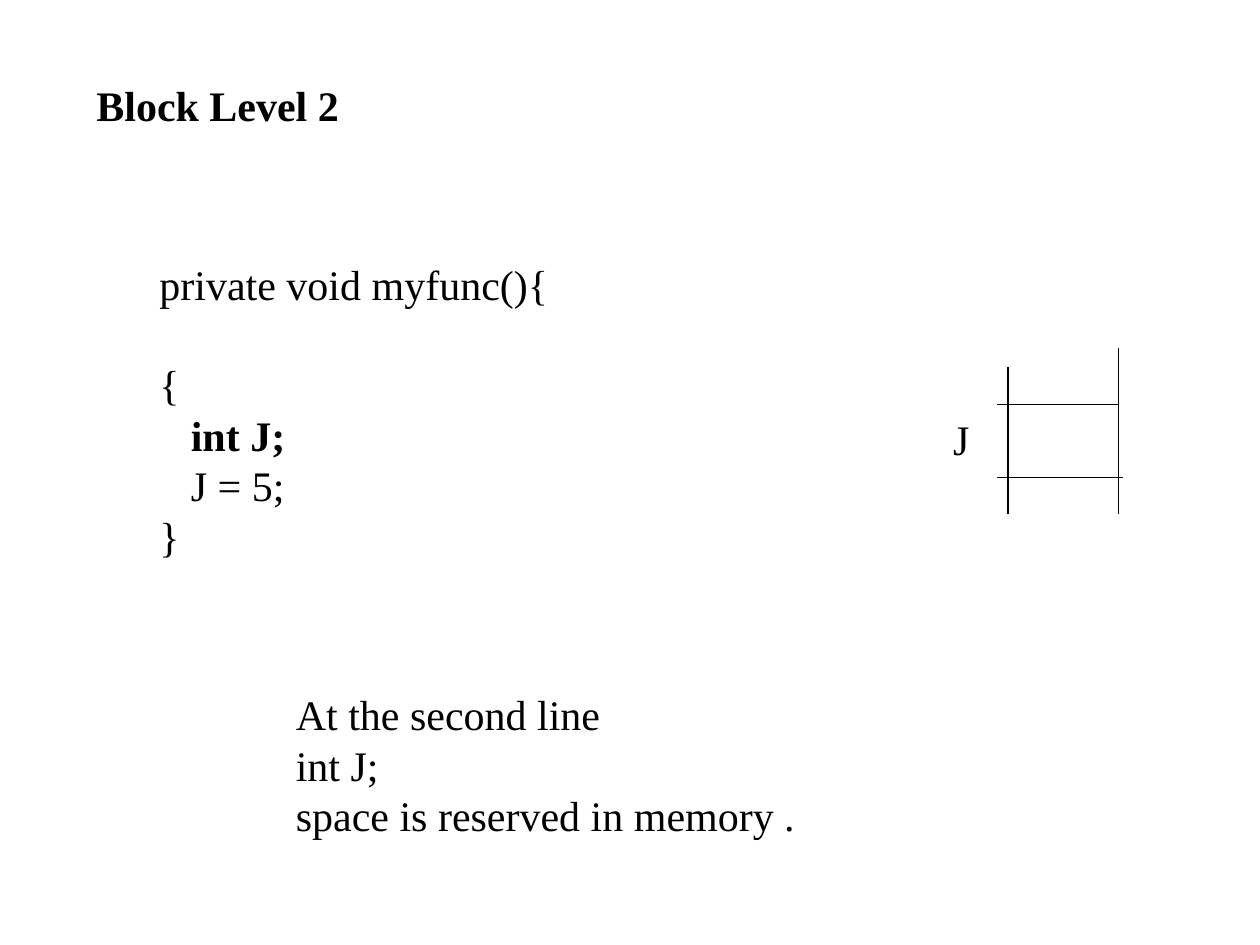
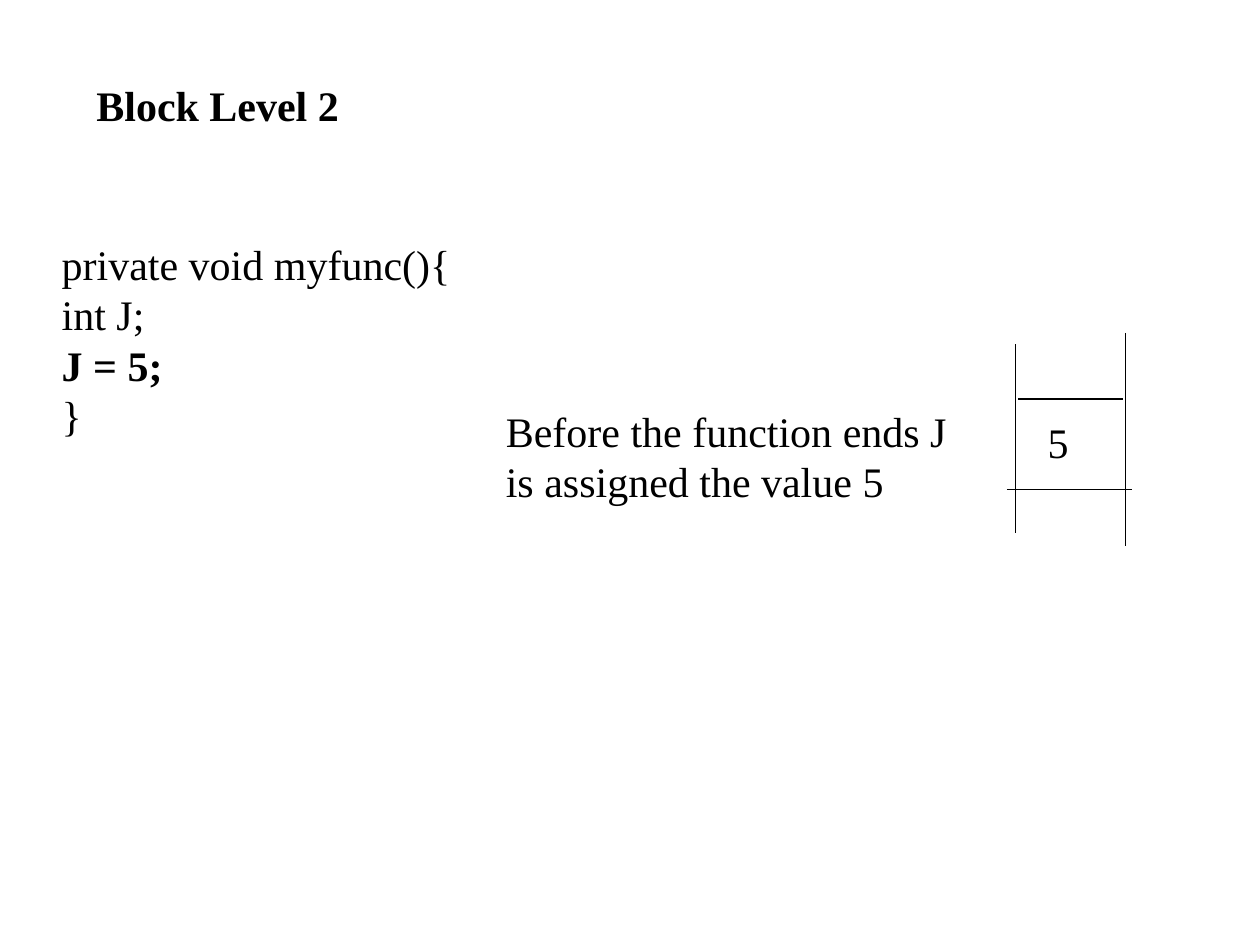
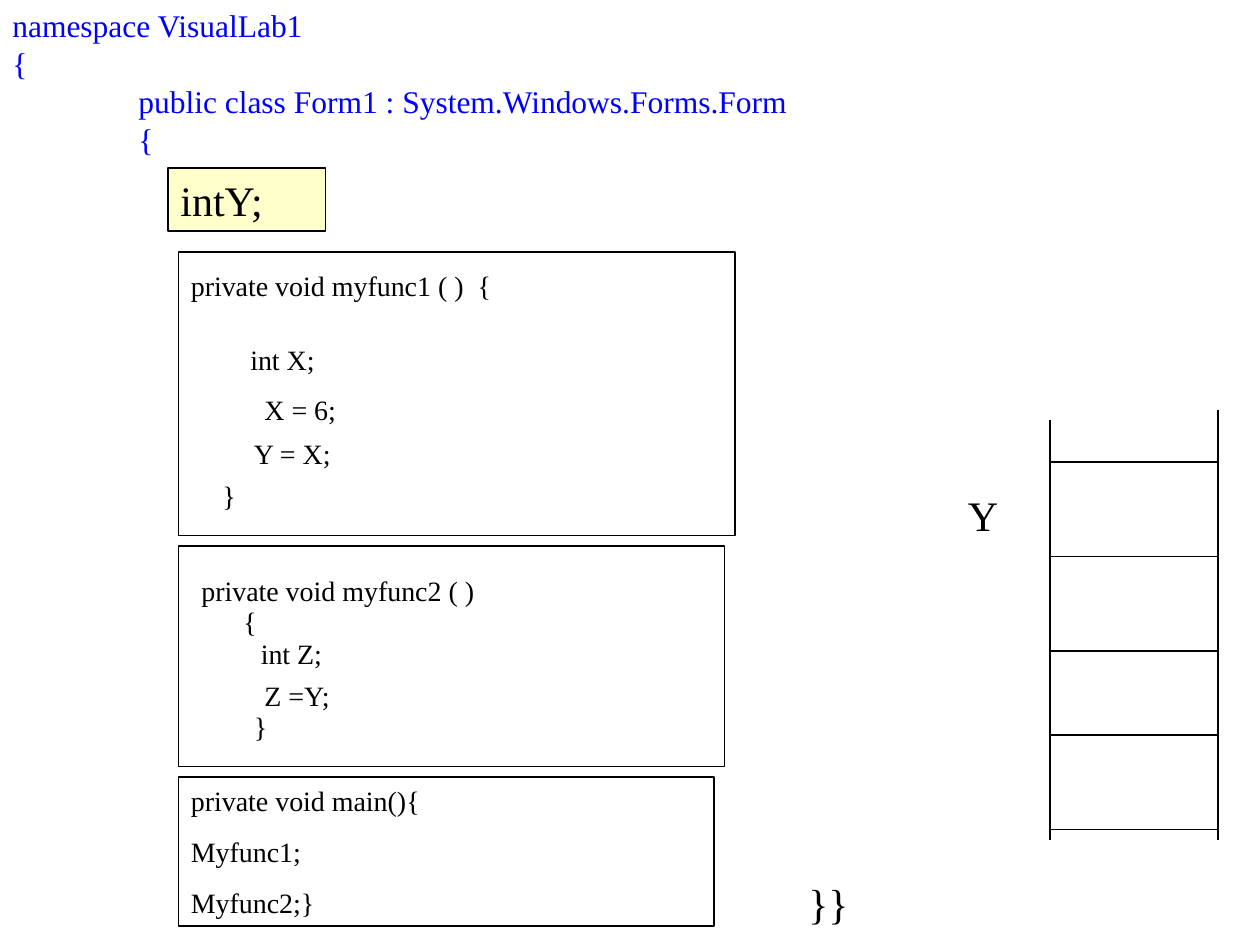
from dataclasses import dataclass

from lxml import etree
from pptx import Presentation
from pptx import util as u
from pptx.dml.color import RGBColor
from pptx.enum import shapes, text
from pptx.oxml import ns

PX = 7620  # EMU; 120 px to the inch
FONT = "Times New Roman"
BLACK = RGBColor(0x00, 0x00, 0x00)
BLUE = RGBColor(0x00, 0x00, 0xFF)
CREAM = RGBColor(0xFF, 0xFF, 0xCC)
LINE_WIDTH = u.Pt(0.75)
TAB = 120


@dataclass(frozen=True)
class Para:
    text: str
    bold: bool = False
    before: float = 0
    indent: int = 0


@dataclass(frozen=True)
class Text:
    x: int
    y: int
    w: int
    h: int
    paras: tuple[Para, ...]
    size: int = 24
    color: RGBColor = BLACK


@dataclass(frozen=True)
class Box:
    x: int
    y: int
    w: int
    h: int
    fill: RGBColor | None = None
    paras: tuple[Para, ...] = ()
    size: int = 16


@dataclass(frozen=True)
class Line:
    x1: int
    y1: int
    x2: int
    y2: int


def paras(*lines: str, before: float = 0) -> tuple[Para, ...]:
    """Plain paragraphs, with space before all but the first."""
    return tuple(Para(t, before=before if i else 0) for i, t in enumerate(lines))


def write(sp, lines: tuple[Para, ...], size: int, color: RGBColor) -> None:
    tf = sp.text_frame
    tf.word_wrap = True
    tf.vertical_anchor = text.MSO_ANCHOR.TOP
    for i, line in enumerate(lines):
        p = tf.add_paragraph() if i else tf.paragraphs[0]
        p.alignment = text.PP_ALIGN.LEFT
        if line.before:
            p.space_before = u.Pt(line.before)
        if line.indent:
            p._p.get_or_add_pPr().set("marL", str(line.indent * PX))
        p.add_run().text = line.text
        p.font.name = FONT
        p.font.size = u.Pt(size)
        p.font.bold = line.bold
        p.font.color.rgb = color


def add_text(s, t: Text) -> None:
    sp = s.shapes.add_textbox(t.x * PX, t.y * PX, t.w * PX, t.h * PX)
    write(sp, t.paras, t.size, t.color)


def add_box(s, b: Box) -> None:
    sp = s.shapes.add_shape(shapes.MSO_SHAPE.RECTANGLE, b.x * PX, b.y * PX, b.w * PX, b.h * PX)
    sp.shadow.inherit = False
    if b.fill is None:
        sp.fill.background()
    else:
        sp.fill.solid()
        sp.fill.fore_color.rgb = b.fill
    sp.line.color.rgb = BLACK
    sp.line.width = LINE_WIDTH
    write(sp, b.paras, b.size, BLACK)


def add_line(s, ln: Line) -> None:
    c = s.shapes.add_connector(shapes.MSO_CONNECTOR.STRAIGHT,
                               ln.x1 * PX, ln.y1 * PX, ln.x2 * PX, ln.y2 * PX)
    c.line.color.rgb = BLACK
    c.line.width = LINE_WIDTH
    etree.SubElement(c._element.spPr, ns.qn("a:effectLst"))


DRAW = {Text: add_text, Box: add_box, Line: add_line}


def code_line(x: int, y: int, w: int, line: str) -> Text:
    return Text(x, y, w, 44, paras(line), 16)


TITLE = Text(80, 70, 260, 60, (Para("Block Level 2", bold=True),))

DECLARE_J = (
    Text(140, 240, 560, 300, (
        Para("private void myfunc(){"),
        Para("{", before=28.8),
        Para("   int J;", bold=True),
        Para("   J = 5;"),
        Para("}"),
    )),
    Line(960, 350, 960, 490),
    Line(1065, 331, 1065, 490),
    Line(950, 385, 1065, 385),
    Line(950, 455, 1070, 455),
    Text(896, 388, 49, 53, paras("J")),
    Text(270, 650, 643, 156,
         paras("At the second line", "int J;", "space is reserved in memory .")),
    TITLE,
)

ASSIGN_J = (
    Line(959, 466, 1078, 466),
    Text(986, 391, 74, 67, paras("5")),
    Line(967, 328, 967, 508),
    Line(1072, 317, 1072, 520),
    Text(470, 380, 451, 108, paras("Before the function ends J is assigned the value 5")),
    Text(47, 221, 583, 204, (
        Para("private void myfunc(){"),
        Para("int J;"),
        Para("J = 5;", bold=True),
        Para("}"),
    )),
    TITLE,
    Line(970, 380, 1070, 380),
)

CLASS_SCOPE = (
    Text(0, 0, 850, 156, (
        Para("namespace VisualLab1"),
        Para("{"),
        Para("public class Form1 : System.Windows.Forms.Form", indent=TAB),
        Para("{", indent=TAB),
    ), 18, BLUE),
    Box(160, 160, 150, 60, CREAM, paras("intY;"), 24),
    Box(170, 240, 530, 270),
    code_line(170, 250, 430, "private void myfunc1 ( )  {"),
    code_line(220, 320, 360, " int X;"),
    code_line(240, 368, 140, "X = 6;"),
    code_line(230, 410, 150, "Y = X;"),
    code_line(200, 450, 170, "}"),
    Box(170, 520, 520, 210),
    code_line(180, 540, 350, "private void myfunc2 ( )"),
    code_line(220, 570, 60, "{"),
    code_line(230, 600, 120, " int Z;"),
    code_line(240, 640, 100, "Z =Y;"),
    code_line(230, 670, 50, "}"),
    Box(170, 740, 510, 142, paras=paras("private void main(){", "Myfunc1;", "Myfunc2;}", before=10)),
    Line(1000, 400, 1000, 800),
    Line(1160, 390, 1160, 800),
    *(Line(1000, y, 1160, y) for y in (440, 530, 620, 700, 790)),
    Text(910, 460, 50, 60, paras("Y")),
    Text(758, 830, 80, 60, paras("}}")),
)


def main() -> None:
    prs = Presentation()
    prs.slide_width, prs.slide_height = 1200 * PX, 900 * PX
    for items in (DECLARE_J, ASSIGN_J, CLASS_SCOPE):
        s = prs.slides.add_slide(prs.slide_layouts[6])
        for item in items:
            DRAW[type(item)](s, item)
    prs.save("out.pptx")


if __name__ == "__main__":
    main()
